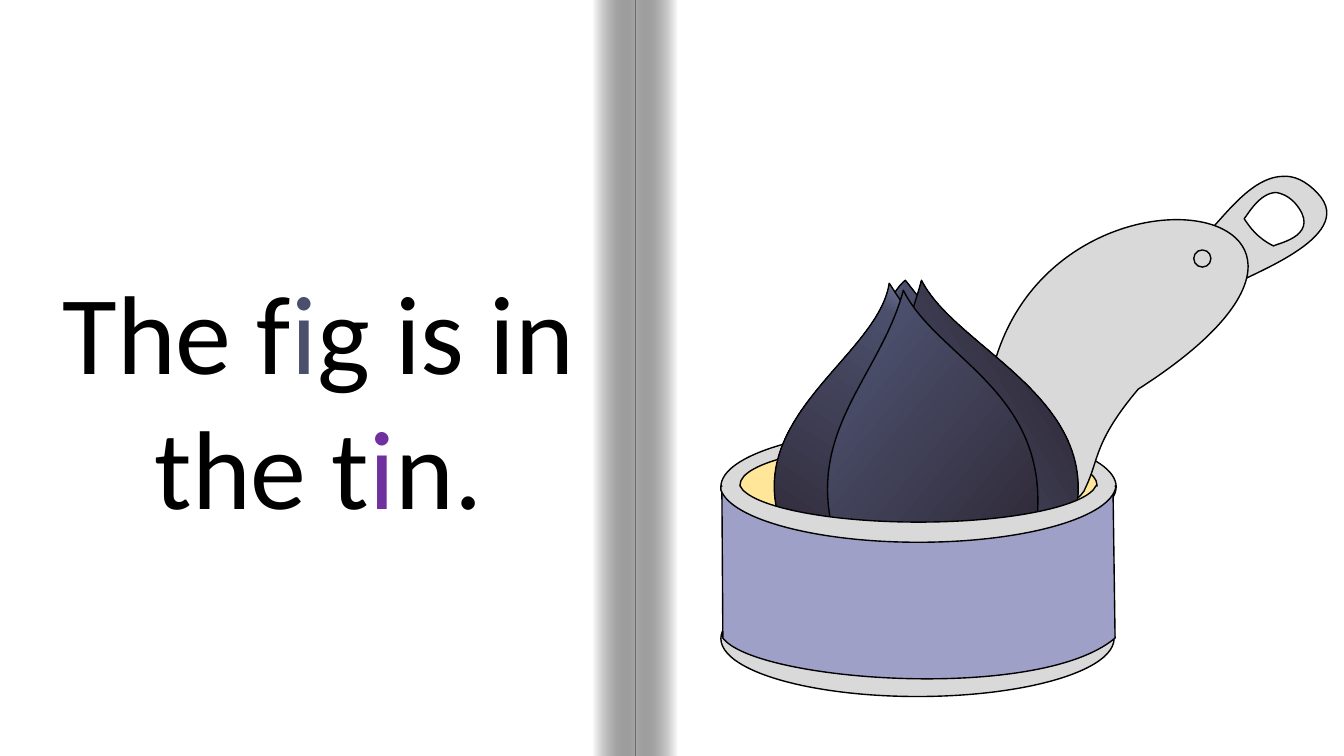
"""Draw a storybook spread: a sentence on the left, a fig in an open tin on the right."""
from pptx import Presentation, util as u
from pptx.dml.color import RGBColor
from pptx.enum import shapes as kinds, text
from pptx.oxml import parse_xml
from pptx.oxml.ns import nsdecls, qn

THEME = {
    "page": "FFFFFF", "ink": "000000", "fig": "4B4F6C", "vowel": "7030A0",
    "steel": "D9D9D9", "label": "9FA0C7", "inside": "FFE699",
    "font": "Calibri", "size": 80, "outline": 1,
    "skin": [(0, "9FA0C7", 100), (17, "4B4F6C", 100), (100, "2A222D", 100)],
    "shade": [(0, "FFFFFF", 100), (100, "000000", 34)],
}
PAGE_W, PAGE_H = 13.33, 7.5
SENTENCE = [("The f", "ink"), ("i", "fig"), ("g is in the t", "ink"), ("i", "vowel"), ("n.", "ink")]
SENTENCE_BOX = (0.02, 2.56, 6.28, 2.79)
SPINE_X, SPINE_W = 6.3, 0.42
RIM_X = 9.11


def oval(cx, cy, rx, ry):
    kx, ky = 0.55 * rx, 0.55 * ry
    return [(cx, cy - ry),
            (cx + kx, cy - ry, cx + rx, cy - ky, cx + rx, cy),
            (cx + rx, cy + ky, cx + kx, cy + ry, cx, cy + ry),
            (cx - kx, cy + ry, cx - rx, cy + ky, cx - rx, cy),
            (cx - rx, cy - ky, cx - kx, cy - ry, cx, cy - ry)]


def mirror(contour):
    return [tuple(2 * RIM_X - v if i % 2 == 0 else v for i, v in enumerate(part)) for part in contour]


TIN_INSIDE = [(7.2, 4.83), (7.76, 3.94, 10.96, 4.19, 11.03, 4.89), (11.04, 6.34),
              (10.76, 5.51, 7.28, 5.69, 7.21, 6.34)]
RIM_OUTER, RIM_INNER = oval(RIM_X, 4.83, 1.96, 0.58), oval(RIM_X, 4.81, 1.77, 0.41)
RING_OUTER = [(12.72, 1.75), (12.83, 1.74, 12.95, 1.79, 13.07, 1.92),
              (13.49, 2.36, 12.3, 2.75, 12.24, 2.83), (11.9, 2.38),
              (12.08, 2.25, 12.37, 1.76, 12.72, 1.75)]
RING_HOLE = [(12.66, 1.91), (12.49, 1.91, 12.37, 2.14, 12.34, 2.17),
             (12.4, 2.26, 12.47, 2.36, 12.63, 2.44), (12.69, 2.41, 13.12, 2.33, 12.84, 2.01),
             (12.77, 1.94, 12.71, 1.92, 12.66, 1.91)]
LID = [(9.78, 4.45), (9.6, 1.23, 14.49, 1.81, 11.29, 3.86), (10.85, 4.38, 10.9, 4.56, 10.77, 4.83),
       (10.74, 4.94, 10.55, 5.05, 10.41, 5.05)]
PETALS = [
    (22, [(9.6, 5.92), (8.92, 6.18, 9.55, 6.06, 9.07, 5.94), (8.14, 4.48, 8.71, 2.98, 8.98, 2.78),
          (9.57, 3.54, 10.11, 4.06, 9.6, 5.92)]),
    (330, [(9.33, 6.06), (10, 6.06, 10.14, 5.91, 10.4, 5.73), (11.41, 4.09, 9.53, 3.56, 9.14, 2.78),
           (8.86, 3.82, 8.28, 4.44, 9.33, 6.06)]),
    (122, [(9.36, 5.96), (8.69, 6.21, 8.68, 6.17, 8.25, 5.96), (6.74, 4.37, 8.69, 3.68, 8.82, 2.81),
           (9.4, 3.72, 9.87, 4.09, 9.36, 5.96)]),
    (40, [(8.66, 6.13), (9.38, 6.17, 9.65, 6.1, 10.09, 5.93), (10.83, 3.99, 9.35, 3.67, 8.96, 2.88),
          (8.68, 3.93, 7.61, 4.5, 8.66, 6.13)]),
]
LABEL = [(7.16, 4.82), (7.93, 5.31, 10.01, 5.43, 11.04, 4.88), (11.06, 6.33),
         (10.31, 6.97, 7.49, 6.76, 7.17, 6.33)]
FRONT_RIM = [(7.15, 4.82), (7.34, 4.82), (7.43, 5.02, 8.19, 5.18, 9.11, 5.18),
             (10.03, 5.18, 10.78, 5.02, 10.87, 4.82), (11.07, 4.82), (11.06, 4.86),
             (10.96, 5.15, 10.13, 5.38, 9.11, 5.38), (8.09, 5.38, 7.25, 5.15, 7.15, 4.86)]
RIM_JOIN = [(10.92, 4.74), (11.02, 4.76), (11.12, 4.83, 11.01, 4.84, 11, 4.88), (10.88, 4.88),
            (10.89, 4.84, 10.88, 4.78, 10.92, 4.74)]


def inch(value):
    return u.Cm(value * 2.54)


def color(name):
    return RGBColor.from_string(THEME[name])


def paint(shape, fill, angle=None, outlined=True):
    shape.shadow.inherit = False
    if angle is None:
        shape.fill.solid()
        shape.fill.fore_color.rgb = color(fill)
    else:
        shape.fill.gradient()
        stops = "".join(
            f'<a:gs pos="{pos * 1000}"><a:srgbClr val="{rgb}"><a:alpha val="{alpha * 1000}"/></a:srgbClr></a:gs>'
            for pos, rgb, alpha in THEME[fill])
        gradient = parse_xml(f'<a:gradFill {nsdecls("a")} rotWithShape="1"><a:gsLst>{stops}</a:gsLst>'
                             f'<a:lin ang="{angle * 60000}" scaled="0"/></a:gradFill>')
        properties = shape._element.spPr
        properties.replace(properties.find(qn("a:gradFill")), gradient)
    if outlined:
        shape.line.color.rgb = color("ink")
        shape.line.width = u.Pt(THEME["outline"])
    else:
        shape.line.fill.background()


def along(contour, steps=40):
    points = [contour[0]]
    for part in contour[1:]:
        if len(part) == 2:
            points.append(part)
            continue
        (x0, y0), (x1, y1, x2, y2, x3, y3) = points[-1], part
        for step in range(1, steps + 1):
            t = step / steps
            a, b, c, d = (1 - t) ** 3, 3 * t * (1 - t) ** 2, 3 * t * t * (1 - t), t ** 3
            points.append((a * x0 + b * x1 + c * x2 + d * x3, a * y0 + b * y1 + c * y2 + d * y3))
    return points


def bend(shape, contours):
    xs, ys = zip(*(point for contour in contours for point in along(contour)))
    left, top = min(xs), min(ys)
    shape.left, shape.top = inch(left), inch(top)
    shape.width, shape.height = inch(max(xs) - left), inch(max(ys) - top)
    steps = ""
    for contour in contours:
        for i, part in enumerate(contour):
            tag = "moveTo" if i == 0 else "lnTo" if len(part) == 2 else "cubicBezTo"
            points = "".join(f'<a:pt x="{inch(x - left)}" y="{inch(y - top)}"/>'
                             for x, y in zip(part[::2], part[1::2]))
            steps += f"<a:{tag}>{points}</a:{tag}>"
        steps += "<a:close/>"
    curves = parse_xml(f'<a:path {nsdecls("a")} w="{shape.width}" h="{shape.height}">{steps}</a:path>')
    straight = next(shape._element.iter(qn("a:path")))
    straight.getparent().replace(straight, curves)


def outline(shapes, contours, fill, angle=None, outlined=True):
    start, *corners = [(inch(part[-2]), inch(part[-1])) for part in contours[0]]
    builder = shapes.build_freeform(*start, scale=1.0)
    builder.add_line_segments(corners, close=True)
    shape = builder.convert_to_shape()
    bend(shape, contours)
    paint(shape, fill, angle, outlined)


def preset(shapes, kind, box, fill, angle=None, outlined=True):
    paint(shapes.add_shape(kind, *map(inch, box)), fill, angle, outlined)


def draw_pages(shapes):
    rectangle = kinds.MSO_SHAPE.RECTANGLE
    preset(shapes, rectangle, (0, 0, PAGE_W, PAGE_H), "page", outlined=False)
    for left, angle in ((SPINE_X, 180), (SPINE_X - SPINE_W, 0)):
        preset(shapes, rectangle, (left, 0, SPINE_W, PAGE_H), "shade", angle, outlined=False)


def write_sentence(shapes):
    frame = shapes.add_textbox(*map(inch, SENTENCE_BOX)).text_frame
    frame.word_wrap = True
    frame.auto_size = text.MSO_AUTO_SIZE.SHAPE_TO_FIT_TEXT
    line = frame.paragraphs[0]
    line.alignment = text.PP_ALIGN.CENTER
    for words, tint in SENTENCE:
        run = line.add_run()
        run.text = words
        run.font.name = THEME["font"]
        run.font.size = u.Pt(THEME["size"])
        run.font.color.rgb = color(tint)


def draw_tin(shapes):
    ellipse = kinds.MSO_SHAPE.OVAL
    for contours, fill in (([TIN_INSIDE], "inside"), ([RIM_OUTER, RIM_INNER], "steel"),
                           ([RING_OUTER, RING_HOLE], "steel"), ([LID], "steel")):
        outline(shapes, contours, fill)
    preset(shapes, ellipse, (11.84, 2.48, 0.17, 0.17), "steel")
    for angle, petal in PETALS:
        outline(shapes, [petal], "skin", angle)
    preset(shapes, ellipse, (7.15, 5.76, 3.9, 1.15), "steel")
    outline(shapes, [LABEL], "label")
    outline(shapes, [FRONT_RIM], "steel")
    for join in (RIM_JOIN, mirror(RIM_JOIN)):
        outline(shapes, [join], "steel", outlined=False)


def main():
    deck = Presentation()
    deck.slide_width, deck.slide_height = inch(PAGE_W), inch(PAGE_H)
    spread = deck.slides.add_slide(deck.slide_layouts[6]).shapes
    draw_pages(spread.add_group_shape().shapes)
    write_sentence(spread)
    draw_tin(spread.add_group_shape().shapes)
    deck.save("out.pptx")


if __name__ == "__main__":
    main()
